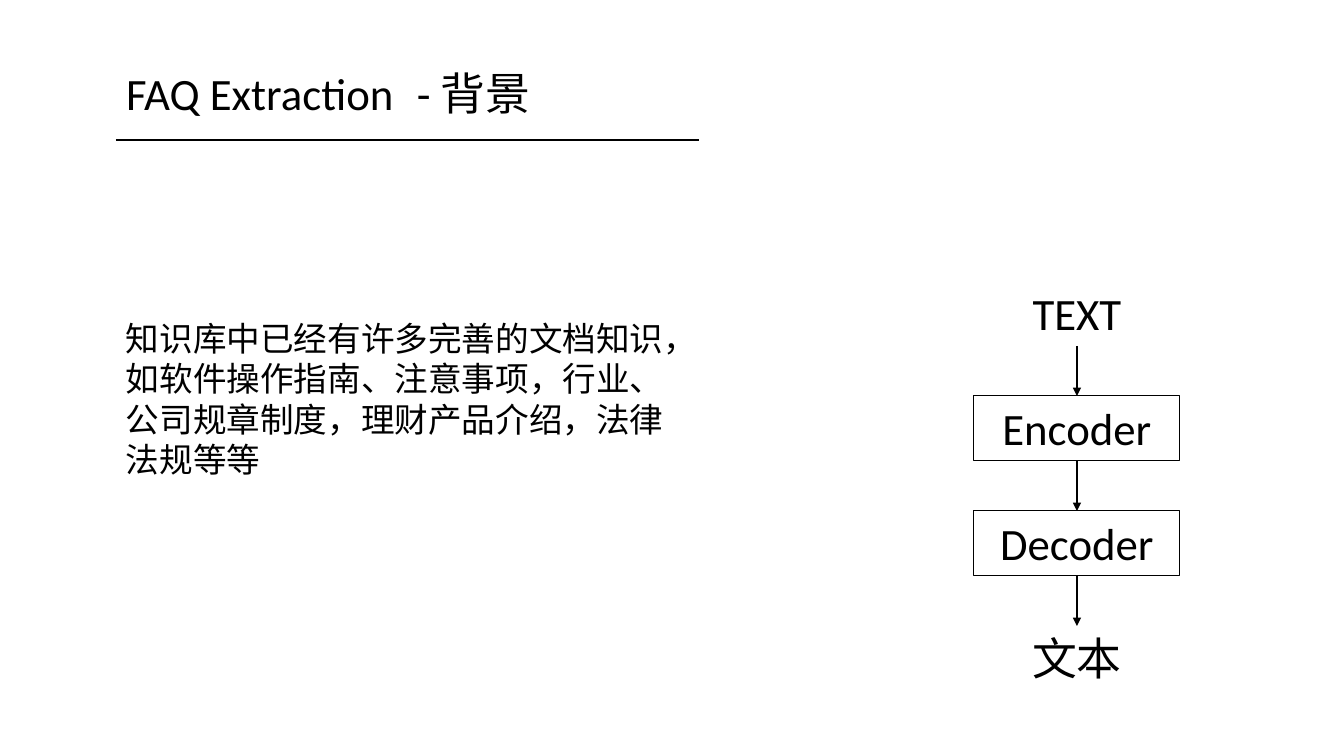
import pptx
import pptx.util
import pptx.dml.color
import pptx.enum.shapes
import pptx.enum.text
import pptx.oxml.ns
from lxml import etree
from dataclasses import dataclass

TITLE = ("FAQ Extraction", (116, 61, 291, 65))
TOPIC = ("- 背景", (407, 61, 646, 65))
BACKGROUND = (
    "知识库中已经有许多完善的文档知识，如软件操作指南、注意事项，行业、公司规章制度，理财产品介绍，法律法规等等",
    (116, 313, 583, 173),
)
RULE = (116, 140, 699, 140)
FLOW = [("TEXT", False), ("Encoder", True), ("Decoder", True), ("文本", False)]
FLOW_CENTER, FLOW_TOP, FLOW_STEP, STAGE_HEIGHT = 1077, 281, 115, 65
FRAMED_WIDTH, PLAIN_WIDTH = 206, 116


@dataclass(frozen=True)
class Theme:
    font: str = "Calibri"
    ink: pptx.dml.color.RGBColor = pptx.dml.color.RGBColor(0, 0, 0)
    heading: int = 32
    body: int = 24
    rule: float = 2
    frame: float = 0.75


THEME = Theme()
ALIGN = pptx.enum.text.PP_ALIGN


def px(length):
    return round(length * 914400 / 100.8)


def write(shape, text, size, align=ALIGN.LEFT, anchor=pptx.enum.text.MSO_ANCHOR.TOP):
    frame = shape.text_frame
    frame.text = text
    paragraph = frame.paragraphs[0]
    formats = {
        frame: {"word_wrap": True, "auto_size": pptx.enum.text.MSO_AUTO_SIZE.NONE,
                "vertical_anchor": anchor},
        paragraph: {"alignment": align, "line_spacing": 1.0},
        paragraph.runs[0].font: {"name": THEME.font, "size": pptx.util.Pt(size)},
    }
    for target, values in formats.items():
        for name, value in values.items():
            setattr(target, name, value)
    paragraph.runs[0].font.color.rgb = THEME.ink


def add_text(slide, text, box, size, align=ALIGN.LEFT):
    label = slide.shapes.add_textbox(*map(px, box))
    write(label, text, size, align)
    return label


def add_line(slide, ends, arrow=False):
    line = slide.shapes.add_connector(
        pptx.enum.shapes.MSO_CONNECTOR.STRAIGHT, *map(px, ends))
    line.line.color.rgb = THEME.ink
    line.line.width = pptx.util.Pt(THEME.rule)
    if arrow:
        etree.SubElement(line.line._get_or_add_ln(),
                         pptx.oxml.ns.qn("a:tailEnd"), type="triangle")
    etree.SubElement(line._element.spPr, pptx.oxml.ns.qn("a:effectLst"))
    return line


def add_stage(slide, text, framed, top):
    width = FRAMED_WIDTH if framed else PLAIN_WIDTH
    box = (FLOW_CENTER - width // 2, top, width, STAGE_HEIGHT)
    if not framed:
        return add_text(slide, text, box, THEME.heading, ALIGN.CENTER)
    stage = slide.shapes.add_shape(
        pptx.enum.shapes.MSO_SHAPE.RECTANGLE, *map(px, box))
    stage.shadow.inherit = False
    stage.fill.background()
    stage.line.color.rgb = THEME.ink
    stage.line.width = pptx.util.Pt(THEME.frame)
    write(stage, text, THEME.heading, ALIGN.CENTER)
    return stage


def main():
    deck = pptx.Presentation()
    deck.slide_width, deck.slide_height = px(1344), px(756)
    slide = deck.slides.add_slide(deck.slide_layouts[5])

    title_text, title_box = TITLE
    title = slide.shapes.title
    for name, length in zip(("left", "top", "width", "height"), title_box):
        setattr(title, name, px(length))
    write(title, title_text, THEME.heading)
    add_text(slide, *TOPIC, THEME.heading)
    add_line(slide, RULE)
    add_text(slide, *BACKGROUND, THEME.body)

    stages = [add_stage(slide, text, framed, FLOW_TOP + i * FLOW_STEP)
              for i, (text, framed) in enumerate(FLOW)]
    for i, (upper, lower) in enumerate(zip(stages, stages[1:])):
        start = FLOW_TOP + i * FLOW_STEP + STAGE_HEIGHT
        end = FLOW_TOP + (i + 1) * FLOW_STEP
        arrow = add_line(slide, (FLOW_CENTER, start, FLOW_CENTER, end), arrow=True)
        arrow.begin_connect(upper, 2)
        arrow.end_connect(lower, 0)

    deck.save("out.pptx")


if __name__ == "__main__":
    main()
